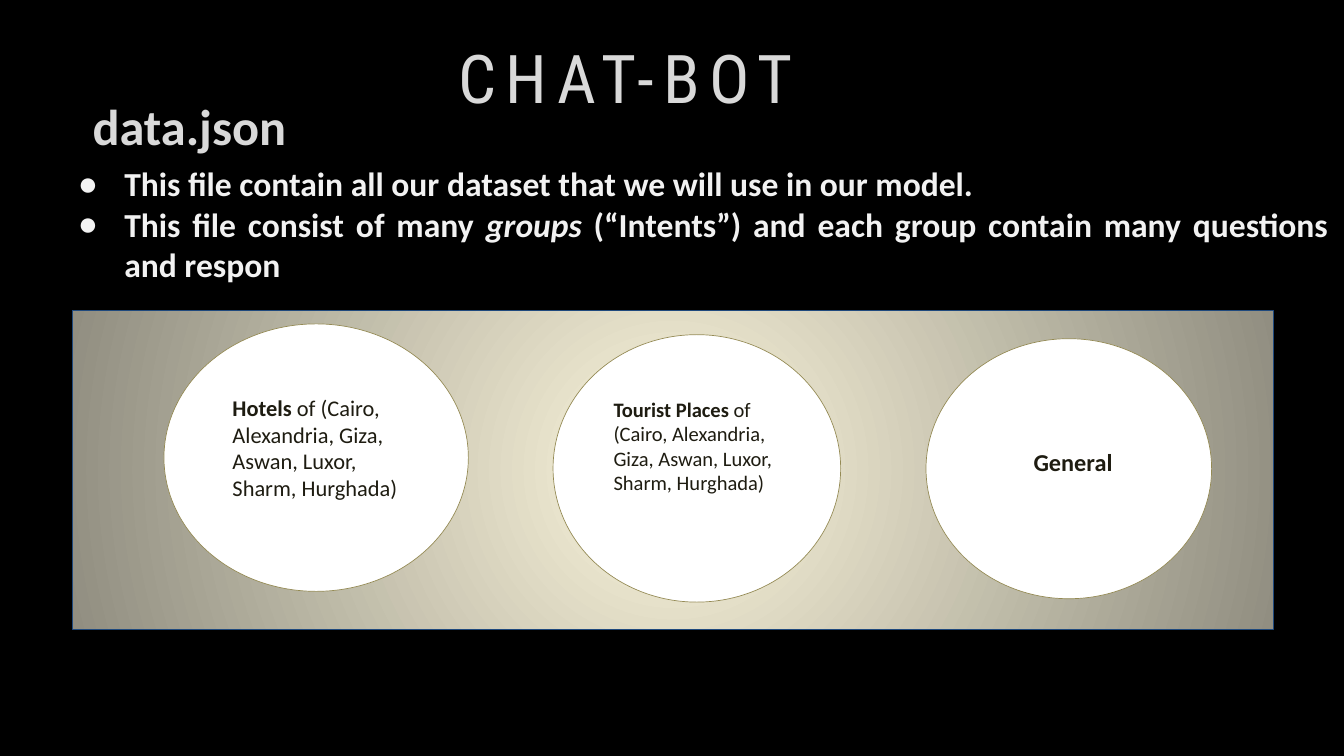
"""Build the CHAT-BOT slide that presents the groups of data.json."""
from typing import NamedTuple

from lxml.etree import SubElement
from pptx import Presentation
from pptx.dml.color import RGBColor
from pptx.enum.shapes import MSO_SHAPE as Preset
from pptx.enum.text import MSO_ANCHOR as Anchor, MSO_AUTO_SIZE as AutoSize, PP_ALIGN as Align
from pptx.oxml.ns import qn
from pptx.util import Inches, Pt

BLACK = RGBColor(0x00, 0x00, 0x00)
WHITE = RGBColor(0xFF, 0xFF, 0xFF)
HEADING_GREY = RGBColor(0xD9, 0xD9, 0xD9)
BODY_GREY = RGBColor(0xF2, 0xF2, 0xF2)
INK = RGBColor(0x1E, 0x1C, 0x11)
CREAM = RGBColor(0xFC, 0xF7, 0xDD)
STONE = RGBColor(0x91, 0x8E, 0x81)
NAVY = RGBColor(0x1F, 0x49, 0x7D)
OLIVE = RGBColor(0x94, 0x8A, 0x54)

CITIES = " of (Cairo, Alexandria, Giza, Aswan, Luxor, Sharm, Hurghada)"


class Area(NamedTuple):
    left: float
    top: float
    width: float
    height: float


class Group(NamedTuple):
    name: str
    detail: str
    size: int
    circle: Area
    label: Area


GROUPS = [
    Group("Hotels", CITIES, 24, Area(2.44, 4.82, 4.53, 3.98), Area(3.26, 5.66, 3.17, 2.23)),
    Group("Tourist Places", CITIES, 22, Area(8.23, 4.98, 4.28, 3.98), Area(8.93, 5.7, 2.89, 2.41)),
    Group("General", "", 26, Area(13.78, 5.04, 4.25, 3.87), Area(15.18, 6.46, 1.78, 0.88)),
]
POINTS = [
    [("This file contain all our dataset that we will use in our model.", False)],
    [
        ("This file consist of many ", False),
        ("groups", True),
        (" (“Intents”) and each group contain many questions and respon", False),
    ],
]


def to_inches(area: Area) -> list:
    return [Inches(length) for length in area]


def prepare_frame(shape, inset: float = 0.2):
    frame = shape.text_frame
    frame.word_wrap = True
    frame.auto_size = AutoSize.NONE
    frame.vertical_anchor = Anchor.TOP
    frame.margin_left = frame.margin_right = Inches(inset)
    frame.margin_top = frame.margin_bottom = Inches(inset)
    return frame


def place(placeholder, area: Area):
    placeholder.left, placeholder.top, placeholder.width, placeholder.height = to_inches(area)
    return prepare_frame(placeholder)


def set_font(paragraph, size: int, color: RGBColor, name: str = "Calibri") -> None:
    font = paragraph.font
    font.name, font.size, font.color.rgb = name, Pt(size), color


def add_outlined(slide, preset: Preset, area: Area, line_color: RGBColor):
    shape = slide.shapes.add_shape(preset, *to_inches(area))
    shape.shadow.inherit = False
    shape.line.color.rgb = line_color
    shape.line.width = Pt(0.75)
    return shape


def fill_radial(shape, center: RGBColor, edge: RGBColor) -> None:
    shape.fill.gradient()
    for stop, color in zip(shape.fill.gradient_stops, (center, edge)):
        stop.color.rgb = color
    gradient = shape.element.spPr.find(qn("a:gradFill"))
    gradient.remove(gradient.find(qn("a:lin")))
    circle = SubElement(gradient, qn("a:path"), path="circle")
    SubElement(circle, qn("a:fillToRect"), l="50000", t="50000", r="50000", b="50000")


def add_bullet(paragraph) -> None:
    properties = paragraph._p.get_or_add_pPr()
    properties.set("marL", str(Inches(1)))
    properties.set("indent", str(Inches(-0.69)))
    SubElement(properties, qn("a:buChar"), char="●")


def write_points(frame) -> None:
    for index, parts in enumerate(POINTS):
        point = frame.paragraphs[0] if index == 0 else frame.add_paragraph()
        add_bullet(point)
        point.alignment = Align.JUSTIFY
        point.space_before = Pt(0)
        set_font(point, 36, BODY_GREY)
        point.font.bold = True
        for text, italic in parts:
            run = point.add_run()
            run.text = text
            if italic:
                run.font.italic = True


def add_circle(slide, group: Group) -> None:
    circle = add_outlined(slide, Preset.OVAL, group.circle, OLIVE)
    circle.fill.solid()
    circle.fill.fore_color.rgb = WHITE


def add_label(slide, group: Group) -> None:
    frame = prepare_frame(slide.shapes.add_textbox(*to_inches(group.label)))
    label = frame.paragraphs[0]
    set_font(label, group.size, INK)
    name = label.add_run()
    name.text = group.name
    name.font.bold = True
    if group.detail:
        label.add_run().text = group.detail


def add_heading(slide) -> None:
    frame = prepare_frame(slide.shapes.add_textbox(*to_inches(Area(2.72, -0.2, 13.19, 1.71))), 0)
    heading = frame.paragraphs[0]
    heading.alignment = Align.CENTER
    heading.line_spacing = Pt(139.5)
    set_font(heading, 72, HEADING_GREY, "Roboto Condensed")
    run = heading.add_run()
    run.text = "CHAT-BOT"
    run._r.get_or_add_rPr().set("spc", "990")


def main() -> None:
    deck = Presentation()
    deck.slide_width, deck.slide_height = Inches(20), Inches(11.25)
    slide = deck.slides.add_slide(deck.slide_layouts[1])
    slide.background.fill.solid()
    slide.background.fill.fore_color.rgb = BLACK

    file_name = place(slide.shapes.title, Area(-6.5, 1.21, 18.64, 1.25)).paragraphs[0]
    file_name.text = "data.json"
    file_name.alignment = Align.CENTER
    set_font(file_name, 54, HEADING_GREY)
    file_name.font.bold = True
    write_points(place(slide.placeholders[1], Area(0.65, 2.23, 19.32, 7.47)))

    panel = add_outlined(slide, Preset.RECTANGLE, Area(1.08, 4.62, 17.87, 4.75), NAVY)
    fill_radial(panel, CREAM, STONE)
    for group in GROUPS:
        add_circle(slide, group)
    for group in GROUPS:
        add_label(slide, group)
    add_heading(slide)
    deck.save("out.pptx")


if __name__ == "__main__":
    main()
